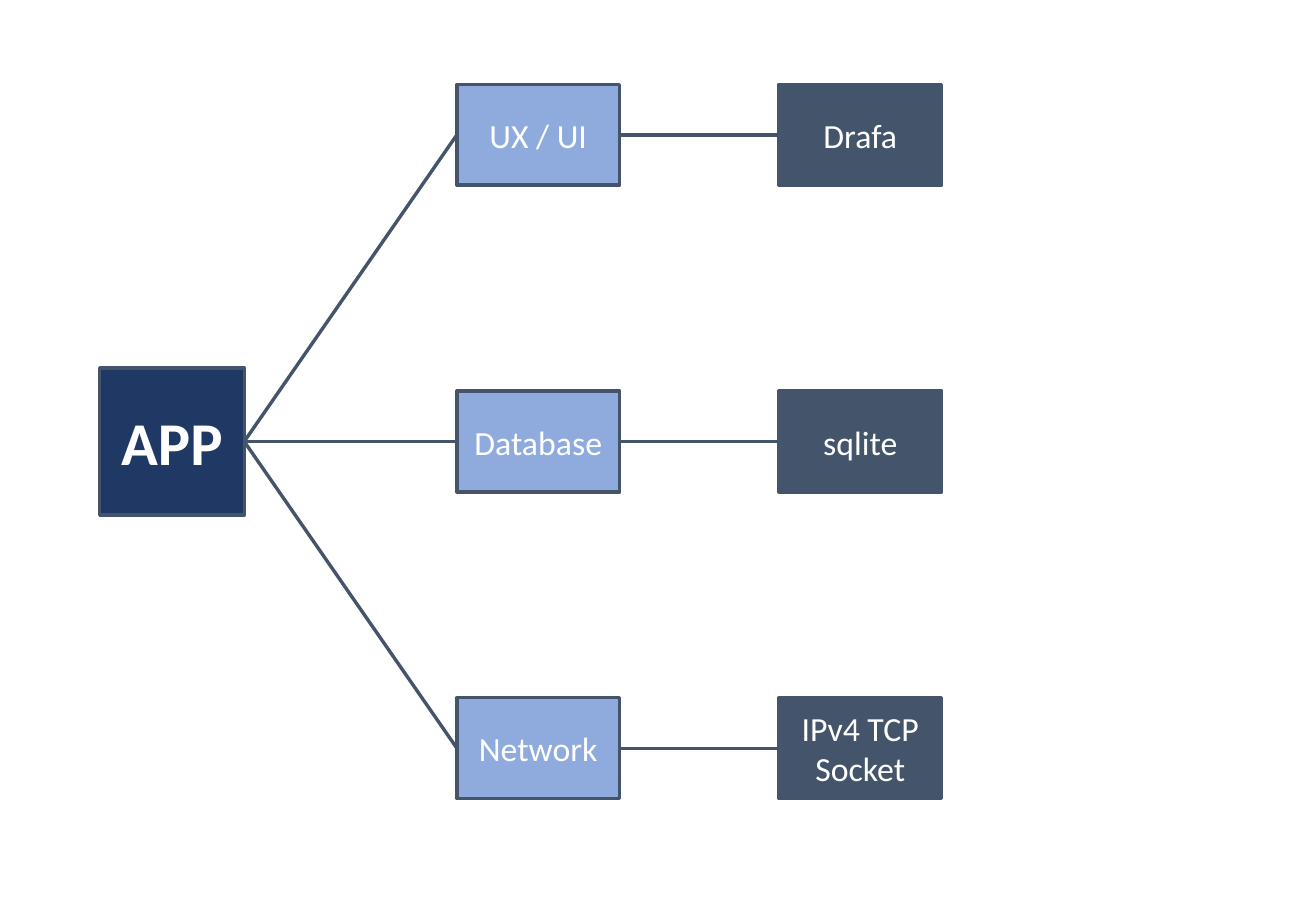
from dataclasses import dataclass
from typing import Any

import pptx
import pptx.dml.color
import pptx.dml.line
import pptx.enum.shapes
import pptx.enum.text
import pptx.oxml
import pptx.oxml.ns
import pptx.shapes.autoshape
import pptx.slide
import pptx.util

Inches = pptx.util.Inches
Pt = pptx.util.Pt
Color = pptx.dml.color.RGBColor


@dataclass(frozen=True)
class Theme:
    navy: Color = Color.from_string("203864")
    blue: Color = Color.from_string("8FAADC")
    slate: Color = Color.from_string("44546A")
    white: Color = Color.from_string("FFFFFF")
    font: str = "Calibri"
    root_size: pptx.util.Length = Pt(36)
    node_size: pptx.util.Length = Pt(20)
    line_width: pptx.util.Length = Pt(2)


@dataclass(frozen=True)
class Node:
    label: str
    left: float
    center: float
    width: float
    height: float
    fill: Color
    size: pptx.util.Length
    bold: bool = False


@dataclass(frozen=True)
class Branch:
    area: str
    tool: str


THEME = Theme()
BRANCHES = [
    Branch("UX / UI", "Drafa"),
    Branch("Database", "sqlite"),
    Branch("Network", "IPv4 TCP\nSocket"),
]
AREA_LEFT, TOOL_LEFT = 3.76, 6.41
NODE_WIDTH, NODE_HEIGHT = 1.34, 0.83
FIRST_CENTER, LAST_CENTER = 1.11, 6.16
MIDDLE = (FIRST_CENTER + LAST_CENTER) / 2
ROW_PITCH = (LAST_CENTER - FIRST_CENTER) / (len(BRANCHES) - 1)
LEFT_SITE, RIGHT_SITE = 1, 3


def apply(target: Any, values: dict[str, Any]) -> None:
    for name, value in values.items():
        setattr(target, name, value)


def style_line(line: pptx.dml.line.LineFormat) -> None:
    line.color.rgb = THEME.slate
    line.width = THEME.line_width


def draw_node(slide: pptx.slide.Slide, node: Node) -> pptx.shapes.autoshape.Shape:
    shape = slide.shapes.add_shape(
        pptx.enum.shapes.MSO_SHAPE.RECTANGLE,
        Inches(node.left),
        Inches(node.center - node.height / 2),
        Inches(node.width),
        Inches(node.height),
    )
    shape.shadow.inherit = False
    shape.fill.solid()
    shape.fill.fore_color.rgb = node.fill
    style_line(shape.line)
    frame = shape.text_frame
    apply(frame, {
        "text": node.label,
        "word_wrap": True,
        "vertical_anchor": pptx.enum.text.MSO_ANCHOR.MIDDLE,
    })
    for paragraph in frame.paragraphs:
        paragraph.alignment = pptx.enum.text.PP_ALIGN.CENTER
        for run in paragraph.runs:
            apply(run.font, {"name": THEME.font, "size": node.size, "bold": node.bold})
            run.font.color.rgb = THEME.white
    return shape


def draw_link(
    slide: pptx.slide.Slide,
    start: pptx.shapes.autoshape.Shape,
    end: pptx.shapes.autoshape.Shape,
) -> None:
    connector = slide.shapes.add_connector(
        pptx.enum.shapes.MSO_CONNECTOR.STRAIGHT, 0, 0, 0, 0
    )
    connector.begin_connect(start, RIGHT_SITE)
    connector.end_connect(end, LEFT_SITE)
    style_line(connector.line)
    properties = connector._element.spPr
    properties.append(pptx.oxml.parse_xml(
        f"<a:effectLst {pptx.oxml.ns.nsdecls('a')}/>"
    ))


def main() -> None:
    presentation = pptx.Presentation()
    apply(presentation, {"slide_width": Inches(10.83), "slide_height": Inches(7.5)})
    slide = presentation.slides.add_slide(presentation.slide_layouts[6])

    app = draw_node(slide, Node(
        "APP", 0.82, MIDDLE, 1.19, 1.21, THEME.navy, THEME.root_size, bold=True
    ))
    for row, branch in enumerate(BRANCHES):
        center = FIRST_CENTER + row * ROW_PITCH
        area, tool = (
            draw_node(slide, Node(
                label, left, center, NODE_WIDTH, NODE_HEIGHT, fill, THEME.node_size
            ))
            for label, left, fill in (
                (branch.area, AREA_LEFT, THEME.blue),
                (branch.tool, TOOL_LEFT, THEME.slate),
            )
        )
        draw_link(slide, app, area)
        draw_link(slide, area, tool)

    presentation.save("out.pptx")


main()
